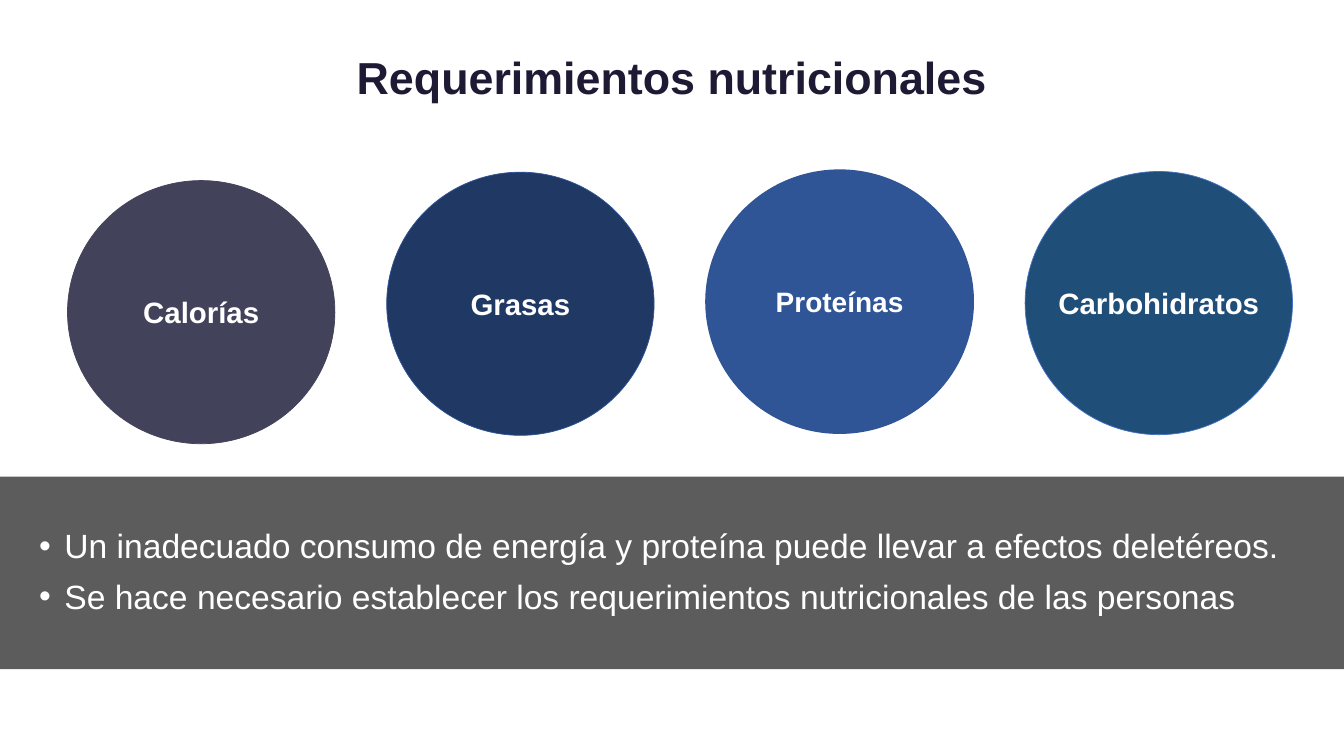
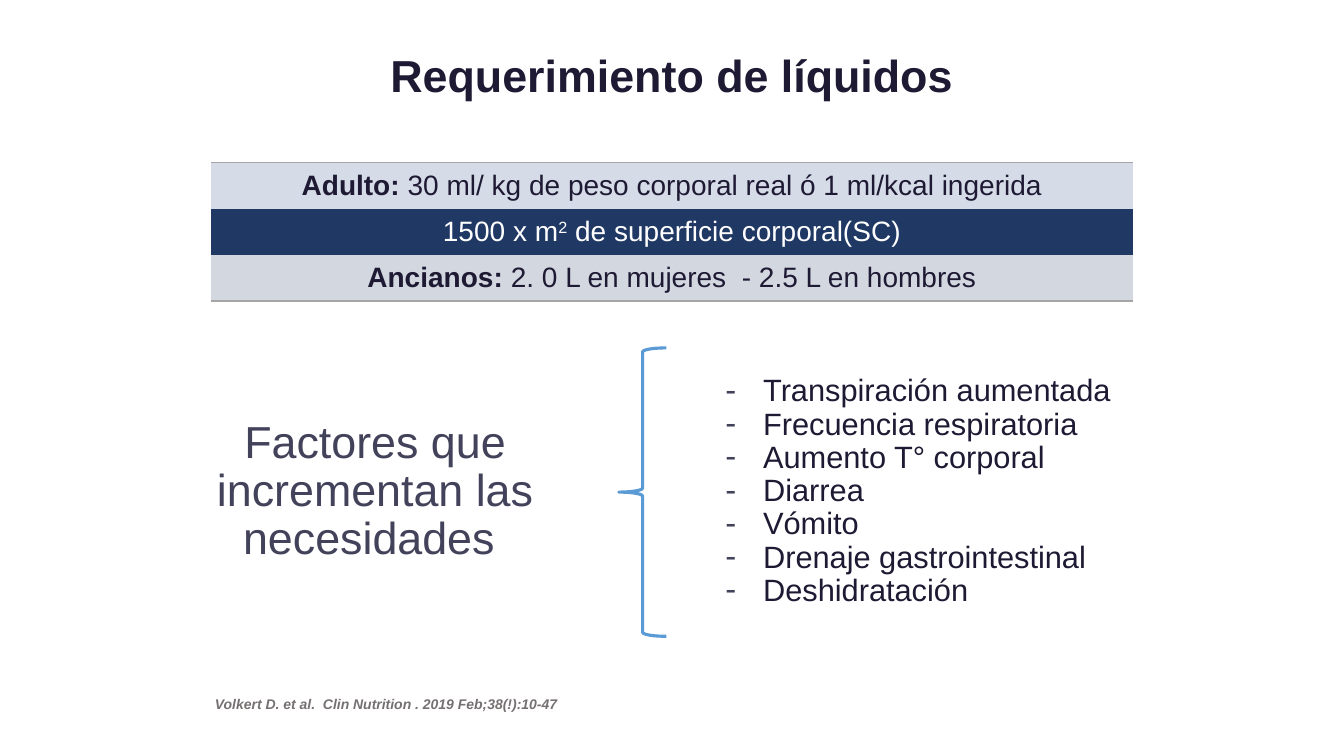
from lxml import etree
from pptx import Presentation
from pptx.dml.color import RGBColor
from pptx.enum.shapes import MSO_SHAPE
from pptx.enum.text import MSO_ANCHOR, PP_ALIGN
from pptx.oxml.ns import qn
from pptx.util import Pt

OVAL, RECTANGLE, LEFT_BRACE = MSO_SHAPE.OVAL, MSO_SHAPE.RECTANGLE, MSO_SHAPE.LEFT_BRACE
TOP, MIDDLE = MSO_ANCHOR.TOP, MSO_ANCHOR.MIDDLE
LEFT, CENTER = PP_ALIGN.LEFT, PP_ALIGN.CENTER

FONT = "Arial"
WHITE = RGBColor(0xFF, 0xFF, 0xFF)
INK = RGBColor(0x1F, 0x1A, 0x34)
PLUM = RGBColor(0x43, 0x42, 0x5B)
NAVY = RGBColor(0x20, 0x38, 0x64)
BLUE = RGBColor(0x2F, 0x55, 0x97)
TEAL = RGBColor(0x1F, 0x4E, 0x79)
ACCENT = RGBColor(0x44, 0x72, 0xC4)
SKY = RGBColor(0x5B, 0x9B, 0xD5)
BAND_GRAY = RGBColor(0x5C, 0x5C, 0x5C)
PALE_BLUE = RGBColor(0xD5, 0xDB, 0xE7)
PALE_NAVY = RGBColor(0xD2, 0xD7, 0xE0)
RULE_GRAY = RGBColor(0xA5, 0xA5, 0xA5)
CITATION_GRAY = RGBColor(0x76, 0x71, 0x71)

NUTRIENTS = [
    ("Calorías", 129, 21, PLUM, PLUM, 0.5),
    ("Grasas", 123, 21, NAVY, BLUE, 0.5),
    ("Proteínas", 121.5, 20, BLUE, BLUE, 1),
    ("Carbohidratos", 122.5, 21, TEAL, ACCENT, 0.5),
]
MESSAGES = [
    "Un inadecuado consumo de energía y proteína puede llevar a efectos deletéreos.",
    "Se hace necesario establecer los requerimientos nutricionales de las personas",
]
BOLD, PLAIN, SUPER = "bold", "plain", "super"
FLUID_ROWS = [
    ([("Adulto: ", BOLD), ("30 ml/ kg de peso corporal real ó 1 ml/kcal ingerida", PLAIN)],
     PALE_BLUE, INK),
    ([("1500 x m", PLAIN), ("2", SUPER), (" de superficie corporal(SC)", PLAIN)],
     NAVY, WHITE),
    ([("Ancianos: ", BOLD), ("2. 0 L en mujeres  - 2.5 L en hombres", PLAIN)],
     PALE_NAVY, INK),
]
FACTORS = [
    "Transpiración aumentada",
    "Frecuencia respiratoria",
    "Aumento T° corporal",
    "Diarrea",
    "Vómito",
    "Drenaje gastrointestinal",
    "Deshidratación",
]


def style(paragraph, size, color, align=LEFT, bold=False, italic=False):
    paragraph.alignment = align
    font = paragraph.font
    font.name, font.size, font.bold, font.italic = FONT, Pt(size), bold, italic
    font.color.rgb = color


def add_bullet(paragraph, char, indent, color, percent=100):
    props = paragraph._p.get_or_add_pPr()
    props.set("marL", str(Pt(indent)))
    props.set("indent", str(-Pt(indent)))
    bullet_color = etree.SubElement(props, qn("a:buClr"))
    etree.SubElement(bullet_color, qn("a:srgbClr"), val=str(color))
    etree.SubElement(props, qn("a:buSzPct"), val=str(percent * 1000))
    etree.SubElement(props, qn("a:buFont"), typeface=FONT)
    etree.SubElement(props, qn("a:buChar"), char=char)


def add_shape(slide, kind, box, line, width, fill=None):
    shape = slide.shapes.add_shape(kind, *map(Pt, box))
    shape.shadow.inherit = False
    if fill is None:
        shape.fill.background()
    else:
        shape.fill.solid()
        shape.fill.fore_color.rgb = fill
    if line is None:
        shape.line.fill.background()
    else:
        shape.line.color.rgb = line
        shape.line.width = Pt(width)
    return shape


def add_text(slide, box, text, size, color, align=LEFT, anchor=TOP, wrap=True,
             spacing=0.9, bold=False, italic=False):
    frame = slide.shapes.add_textbox(*map(Pt, box)).text_frame
    frame.word_wrap = wrap
    frame.vertical_anchor = anchor
    paragraph = frame.paragraphs[0]
    paragraph.text = text
    paragraph.line_spacing = spacing
    style(paragraph, size, color, align, bold, italic)


def add_list(frame, items, char, indent, size, color, bullet_color, percent=100, gap=0):
    for index, item in enumerate(items):
        paragraph = frame.add_paragraph() if index else frame.paragraphs[0]
        paragraph.text = item
        paragraph.line_spacing = 0.9
        paragraph.space_before = Pt(gap if index else 0)
        add_bullet(paragraph, char, indent, bullet_color, percent)
        style(paragraph, size, color)


def add_title(slide, text, top):
    add_text(slide, (66, top, 828, 54), text, 32, INK, CENTER, MIDDLE, bold=True)


def add_nutrients(slide, left, pitch, width, height):
    for index, (name, top, size, fill, line, line_width) in enumerate(NUTRIENTS):
        box = (left + index * pitch, top, width, height)
        circle = add_shape(slide, OVAL, box, line, line_width, fill)
        frame = circle.text_frame
        frame.word_wrap = False
        frame.vertical_anchor = MIDDLE
        frame.text = name
        style(frame.paragraphs[0], size, WHITE, CENTER, bold=True)


def add_message_band(slide, box):
    frame = add_shape(slide, RECTANGLE, box, None, 0, BAND_GRAY).text_frame
    frame.word_wrap = True
    frame.vertical_anchor = MIDDLE
    frame.margin_left = frame.margin_right = Pt(28)
    frame.margin_top = frame.margin_bottom = Pt(28)
    add_list(frame, MESSAGES, "•", 18, 24, WHITE, WHITE, gap=10)


def set_borders(cell, ruled_sides):
    props = cell._tc.get_or_add_tcPr()
    for position, side in enumerate(("lnL", "lnR", "lnT", "lnB")):
        border = etree.Element(qn("a:" + side), w=str(Pt(1)))
        if side in ruled_sides:
            fill = etree.SubElement(border, qn("a:solidFill"))
            etree.SubElement(fill, qn("a:srgbClr"), val=str(RULE_GRAY))
        else:
            etree.SubElement(border, qn("a:noFill"))
        props.insert(position, border)


def add_fluid_table(slide, box):
    table = slide.shapes.add_table(len(FLUID_ROWS), 1, *map(Pt, box)).table
    table.first_row = table.horz_banding = False
    ruled = {0: ("lnT",), len(FLUID_ROWS) - 1: ("lnB",)}
    for index, (parts, fill, color) in enumerate(FLUID_ROWS):
        cell = table.cell(index, 0)
        cell.fill.solid()
        cell.fill.fore_color.rgb = fill
        cell.vertical_anchor = MIDDLE
        cell.margin_left = cell.margin_right = Pt(10.8)
        cell.margin_top = cell.margin_bottom = 0
        paragraph = cell.text_frame.paragraphs[0]
        for text, kind in parts:
            run = paragraph.add_run()
            run.text = text
            if kind == BOLD:
                run.font.bold = True
            elif kind == SUPER:
                run._r.get_or_add_rPr().set("baseline", "30000")
        style(paragraph, 20, color, CENTER)
        set_borders(cell, ruled.get(index, ()))


def add_factors(slide, left, top, height):
    add_text(slide, (left, top + 47.5, 262, 112), "Factores que incrementan las necesidades ",
             32, PLUM, CENTER)
    add_shape(slide, LEFT_BRACE, (left + 305, top, 34, height), SKY, 2.25)
    factor_box = slide.shapes.add_textbox(Pt(left + 374), Pt(top + 16), Pt(312), Pt(175))
    factor_box.text_frame.word_wrap = True
    add_list(factor_box.text_frame, FACTORS, "-", 27, 22, INK, PLUM, 107)


def build_nutrients_slide(slide):
    add_title(slide, "Requerimientos nutricionales", 30)
    add_nutrients(slide, 48.25, 228, 191, 188)
    add_message_band(slide, (0, 340.5, 960, 137.5))


def build_fluids_slide(slide):
    add_title(slide, "Requerimiento de líquidos", 29)
    add_fluid_table(slide, (151, 116, 658, 99))
    add_factors(slide, 137, 248.5, 206)
    add_text(slide, (146.5, 493, 261, 19.5),
             "Volkert D. et al.  Clin Nutrition . 2019 Feb;38(!):10-47",
             10, CITATION_GRAY, wrap=False, spacing=1.0, bold=True, italic=True)


def main():
    deck = Presentation()
    deck.slide_width, deck.slide_height = Pt(960), Pt(540)
    blank = deck.slide_layouts[6]
    for build in (build_nutrients_slide, build_fluids_slide):
        build(deck.slides.add_slide(blank))
    deck.save("out.pptx")


if __name__ == "__main__":
    main()
